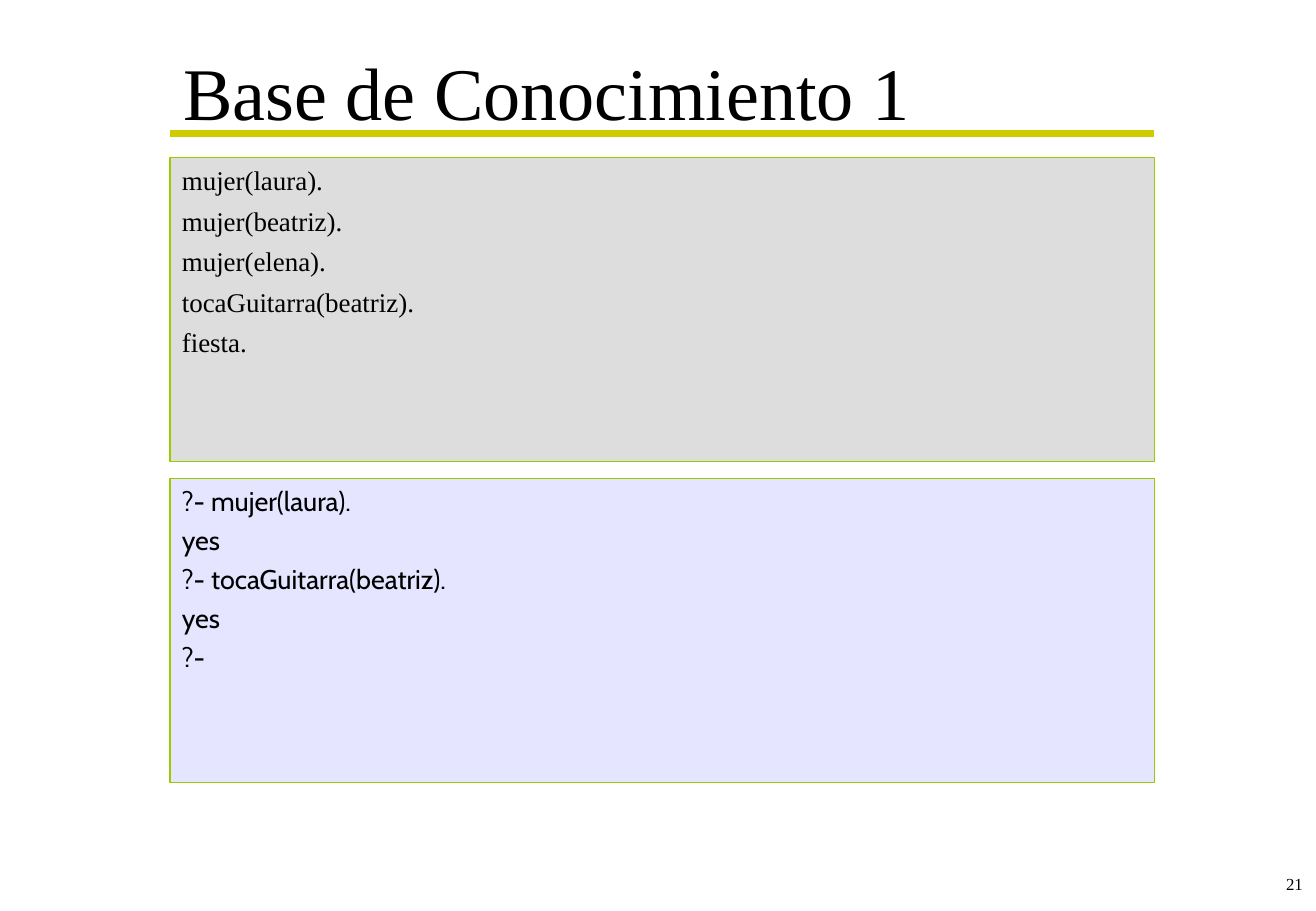
from lxml.etree import SubElement
from pptx import Presentation
from pptx.dml.color import RGBColor
from pptx.enum.shapes import MSO_CONNECTOR as CONN, MSO_SHAPE as SHAPE
from pptx.enum.text import MSO_ANCHOR as ANCHOR, PP_ALIGN as ALIGN
from pptx.oxml.ns import qn
from pptx.util import Inches, Pt

COLORS = {"rule": "CCCC00", "border": "99CC00", "facts": "DDDDDD",
          "queries": "CCCCFF", "text": "000000"}
SERIF, SANS = "Times New Roman", "Cabin"
TITLE = "Base de Conocimiento 1"
PAGE = "21"
FACTS = ["mujer(laura).", "mujer(beatriz).", "mujer(elena).",
         "tocaGuitarra(beatriz).", "fiesta."]
QUERIES = ["?- mujer(laura).", "yes", "?- tocaGuitarra(beatriz).", "yes", "?-"]
PANELS = [("facts", FACTS, SERIF, 4.8, 100), ("queries", QUERIES, SANS, 4, 50)]
LEFT, WIDTH = 1.4, 8.11
PANEL_TOP, PANEL_HEIGHT, PANEL_PITCH = 1.3, 2.5, 2.64


def rgb(name):
    return RGBColor.from_string(COLORS[name])


def write(shape, lines, font, size, gap=0, align=ALIGN.LEFT, anchor=ANCHOR.TOP):
    tf = shape.text_frame
    tf.word_wrap = True
    tf.vertical_anchor = anchor
    for i, line in enumerate(lines):
        p = tf.add_paragraph() if i else tf.paragraphs[0]
        p.text = line
        p.alignment = align
        p.space_before = Pt(gap if i else 0)
        p.font.name = font
        p.font.size = Pt(size)
        p.font.color.rgb = rgb("text")


def add_panel(s, top, color, lines, font, gap, opacity):
    sp = s.shapes.add_shape(SHAPE.RECTANGLE, Inches(LEFT), Inches(top),
                            Inches(WIDTH), Inches(PANEL_HEIGHT))
    sp.shadow.inherit = False
    sp.fill.solid()
    sp.fill.fore_color.rgb = rgb(color)
    if opacity < 100:
        clr = sp.fill._xPr.find(".//" + qn("a:srgbClr"))
        SubElement(clr, qn("a:alpha")).set("val", str(opacity * 1000))
    sp.line.color.rgb = rgb("border")
    sp.line.width = Pt(0.75)
    write(sp, lines, font, 16, gap)


def main():
    """Build the knowledge base slide and save it."""
    prs = Presentation()
    prs.slide_width, prs.slide_height = Inches(10.84), Inches(7.5)
    s = prs.slides.add_slide(prs.slide_layouts[6])

    rule = s.shapes.add_connector(CONN.STRAIGHT, Inches(LEFT), Inches(1.1),
                                  Inches(LEFT + WIDTH), Inches(1.1))
    rule.line.color.rgb = rgb("rule")
    rule.line.width = Pt(4.5)
    SubElement(rule._element.spPr, qn("a:effectLst"))

    title = s.shapes.add_textbox(Inches(1.41), Inches(0.28), Inches(8.1), Inches(0.93))
    write(title, [TITLE], SERIF, 44, anchor=ANCHOR.MIDDLE)

    for i, panel in enumerate(PANELS):
        add_panel(s, PANEL_TOP + i * PANEL_PITCH, *panel)

    page = s.shapes.add_textbox(Inches(9.03), Inches(7.14), Inches(1.8), Inches(0.36))
    write(page, [PAGE], SERIF, 10, align=ALIGN.RIGHT)
    prs.save("out.pptx")


if __name__ == "__main__":
    main()
